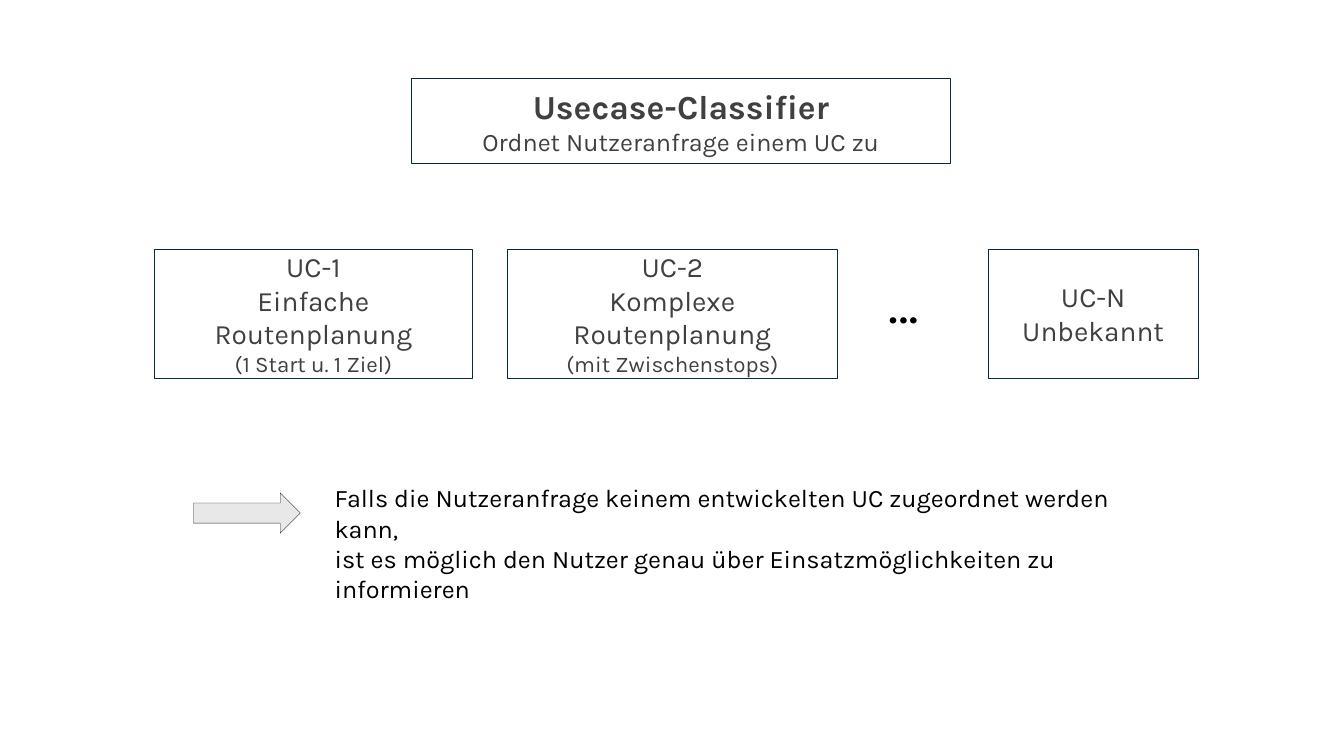
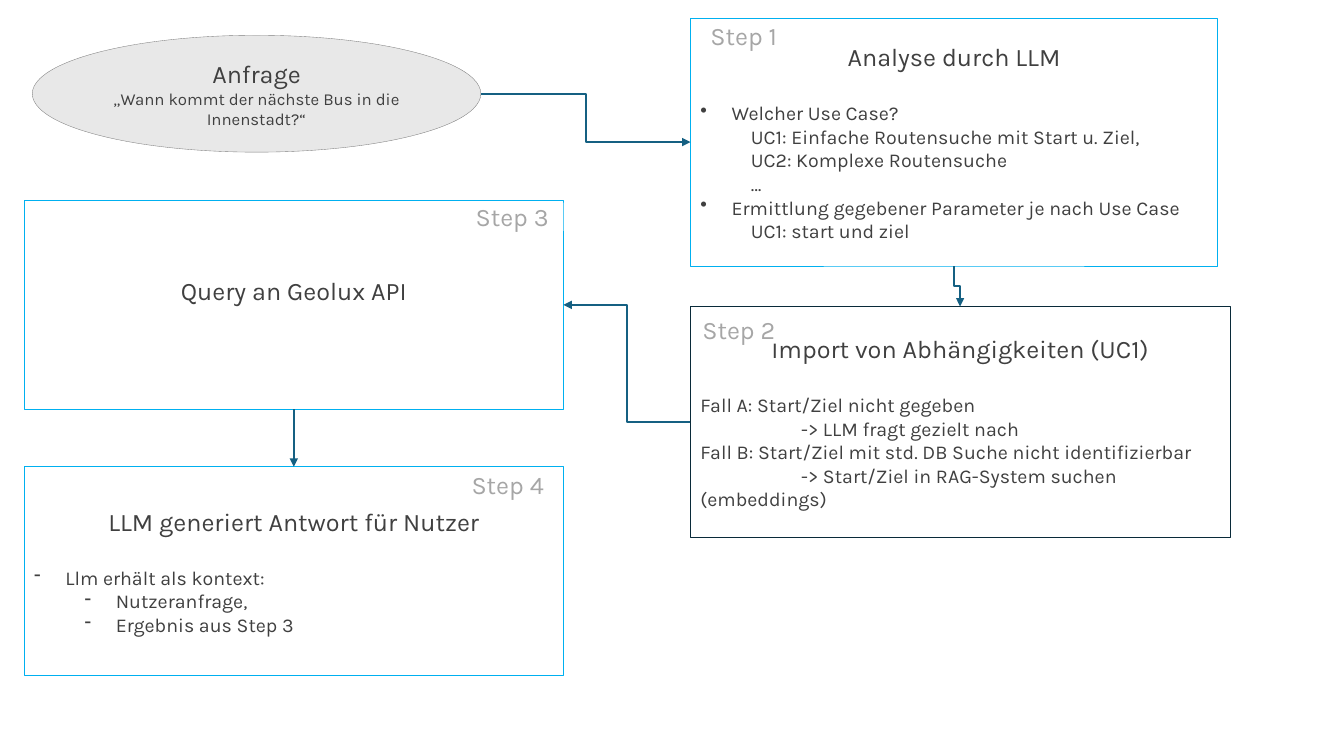
from dataclasses import dataclass, replace

from lxml.etree import SubElement
from pptx import Presentation
from pptx.dml.color import RGBColor
from pptx.enum.shapes import MSO_CONNECTOR as Link, MSO_SHAPE as Form
from pptx.enum.text import MSO_ANCHOR as Anchor, MSO_AUTO_SIZE as AutoSize, PP_ALIGN as Align
from pptx.oxml.ns import qn
from pptx.util import Inches, Pt


@dataclass(frozen=True)
class Theme:
    """Holds the colours, fonts and type sizes of the deck."""
    font: str = "Karla"
    ink: str = "404040"
    black: str = "000000"
    muted: str = "A6A6A6"
    paper: str = "FFFFFF"
    grey: str = "E8E8E8"
    navy: str = "092A39"
    cyan: str = "00B0F0"
    teal: str = "156082"
    arrow_edge: str = "262626"
    oval_edge: str = "808080"
    heading: int = 24
    dots: int = 40
    case: int = 20
    text: int = 18
    note: int = 16
    item: int = 14
    quote: int = 12
    hairline: float = 0.25
    flow_line: float = 1.5


THEME = Theme()
COLUMNS, ROWS = 133.33, 75


@dataclass(frozen=True)
class Box:
    """A region in columns and rows of the slide grid."""
    left: float
    top: float
    width: float
    height: float

    def inner(self, left, top, width, height):
        """Returns a region offset from this one."""
        return Box(self.left + left, self.top + top, width, height)

    def point(self, across, down):
        """Returns the point at the given shares of this region."""
        return self.left + self.width * across, self.top + self.height * down

    def lengths(self):
        """Returns the four lengths for a shape."""
        return [cell(value) for value in (self.left, self.top, self.width, self.height)]


@dataclass(frozen=True)
class Line:
    """A paragraph with its type and indents in grid columns."""
    text: str
    size: int = THEME.text
    colour: str = THEME.ink
    bold: bool = False
    align: Align = Align.LEFT
    level: int = 0
    margin: float = 0
    indent: float = 0
    bullet: str = ""
    after: int = 0


def cell(count):
    """Turns grid cells into a length."""
    return Inches(count / 10)


def centred(text, size=THEME.text, **style):
    """Returns a centred paragraph."""
    return Line(text, size, align=Align.CENTER, **style)


def heading(text):
    """Returns the heading of a step with the gap below it."""
    return centred(text, after=21)


def item(text, **style):
    """Returns a paragraph of step detail."""
    return Line(text, THEME.item, **style)


def bulleted(text, bullet, level=0):
    """Returns a hanging list item."""
    return item(text, bullet=bullet, level=level, margin=3.1 + 5 * level, indent=-3.1)


def nested(text):
    """Returns an indented paragraph without a bullet."""
    return item(text, level=1, margin=5)


def write(frame, lines, anchor=Anchor.MIDDLE):
    """Fills a text frame with paragraphs."""
    frame.word_wrap = True
    frame.auto_size = AutoSize.NONE
    frame.vertical_anchor = anchor
    for index, line in enumerate(lines):
        para = frame.add_paragraph() if index else frame.paragraphs[0]
        para.alignment = line.align
        para.level = line.level
        para.space_after = Pt(line.after)
        props = para._p.get_or_add_pPr()
        props.set("marL", str(cell(line.margin)))
        props.set("indent", str(cell(line.indent)))
        if line.bullet:
            SubElement(props, qn("a:buChar")).set("char", line.bullet)
        span = para.add_run()
        span.text = line.text
        span.font.name = THEME.font
        span.font.size = Pt(line.size)
        span.font.bold = line.bold
        span.font.color.rgb = RGBColor.from_string(line.colour)


def paint(shape, fill, edge):
    """Sets the fill and outline of a shape."""
    shape.fill.solid()
    shape.fill.fore_color.rgb = RGBColor.from_string(fill)
    if edge:
        shape.line.color.rgb = RGBColor.from_string(edge)
        shape.line.width = Pt(THEME.hairline)
    else:
        shape.line.fill.background()


def panel(page, box, lines=(), edge=THEME.navy, fill=THEME.paper, form=Form.RECTANGLE):
    """Draws a preset shape with text."""
    shape = page.shapes.add_shape(form, *box.lengths())
    shape.shadow.inherit = False
    paint(shape, fill, edge)
    write(shape.text_frame, lines)
    return shape


def title_panel(page, box, lines):
    """Places the title placeholder as an outlined panel."""
    title = page.shapes.title
    title.left, title.top, title.width, title.height = box.lengths()
    paint(title, THEME.paper, THEME.navy)
    write(title.text_frame, lines)


def free_text(page, box, lines):
    """Places a text box."""
    frame = page.shapes.add_textbox(*box.lengths()).text_frame
    write(frame, lines, Anchor.TOP)


def step(page, box, number, lines, label_at, edge=THEME.cyan):
    """Draws a step panel and its number label."""
    shape = panel(page, box, lines, edge)
    label = Line(f"Step {number}", colour=THEME.muted)
    panel(page, box.inner(*label_at, 9.7, 2.8), [label], edge=None)
    return shape


def flow(page, start, end, downward=False):
    """Draws an elbow arrow that leaves sideways or downward."""
    (x1, y1), (x2, y2) = start, end
    aligned = x1 == x2
    turned = downward and not aligned
    if turned:
        middle_x, middle_y = (x1 + x2) / 2, (y1 + y2) / 2
        reach, drift = (y2 - y1) / 2, (x1 - x2) / 2
        x1, x2 = middle_x - reach, middle_x + reach
        y1, y2 = middle_y - drift, middle_y + drift
    kind = Link.STRAIGHT if aligned else Link.ELBOW
    arrow = page.shapes.add_connector(kind, *map(cell, (x1, y1, x2, y2)))
    arrow.line.color.rgb = RGBColor.from_string(THEME.teal)
    arrow.line.width = Pt(THEME.flow_line)
    props = arrow._element.spPr
    if turned:
        props.find(qn("a:xfrm")).set("rot", str(90 * 60000))
    SubElement(props.find(qn("a:ln")), qn("a:tailEnd")).set("type", "triangle")
    SubElement(props, qn("a:effectLst"))


def use_case_row(page, row):
    """Draws the use cases side by side."""
    cases = [
        (0, 31.6, ["UC-1", "Einfache Routenplanung"], "(1 Start u. 1 Ziel)"),
        (35, 32.8, ["UC-2", "Komplexe Routenplanung"], "(mit Zwischenstops)"),
        (82.7, 20.9, ["UC-N", "Unbekannt"], ""),
    ]
    for offset, width, names, note in cases:
        lines = [centred(name, THEME.case) for name in names]
        if note:
            lines.append(centred(note, THEME.note))
        panel(page, row.inner(offset, 0, width, row.height), lines)
    dots = Line("…", THEME.dots, THEME.black)
    free_text(page, row.inner(71.9, 1.4, 6.6, 7.7), [dots])


def conclusion(page, box):
    """Draws the arrow and the closing remark."""
    remark = Line("", colour=THEME.black)
    free_text(page, box.inner(13, 0, 82.2, 7.1), [
        replace(remark, text="Falls die Nutzeranfrage keinem entwickelten UC zugeordnet werden kann,"),
        replace(remark, text="ist es möglich den Nutzer genau über Einsatzmöglichkeiten zu informieren"),
    ])
    panel(page, box.inner(0, 1.5, 10.6, 4), edge=THEME.arrow_edge,
          fill=THEME.grey, form=Form.RIGHT_ARROW)


def classifier_slide(deck):
    """Builds the slide on the use case classifier."""
    page = deck.slides.add_slide(deck.slide_layouts[5])
    title_panel(page, Box(40.8, 7.8, 53.5, 8.4), [
        centred("Usecase-Classifier", THEME.heading, bold=True),
        centred("Ordnet Nutzeranfrage einem UC zu"),
    ])
    use_case_row(page, Box(15.3, 24.7, 103.6, 12.8))
    conclusion(page, Box(19.2, 47.4, 95.2, 7.1))


def process_slide(deck):
    """Builds the slide on the steps from request to answer."""
    page = deck.slides.add_slide(deck.slide_layouts[6])
    request = Box(3.2, 3.5, 44.5, 11.6)
    analysis = Box(68.5, 1.8, 52.3, 24.6)
    imports = Box(68.5, 30.4, 53.5, 22.9)
    query = Box(2.4, 19.9, 53.5, 20.7)
    answer = query.inner(0, 26.4, query.width, query.height)

    panel(page, request, [
        centred("Anfrage"),
        centred("„Wann kommt der nächste Bus in die Innenstadt?“", THEME.quote),
    ], THEME.oval_edge, THEME.grey, Form.OVAL)
    step(page, analysis, 1, [
        heading("Analyse durch LLM"),
        bulleted("Welcher Use Case?", "•"),
        nested("UC1: Einfache Routensuche mit Start u. Ziel,"),
        nested("UC2: Komplexe Routensuche"),
        nested("…"),
        bulleted("Ermittlung gegebener Parameter je nach Use Case", "•"),
        nested("UC1: start und ziel"),
    ], (1, 0.3))
    step(page, imports, 2, [
        heading("Import von Abhängigkeiten (UC1)"),
        item("Fall A: Start/Ziel nicht gegeben"),
        item("-> LLM fragt gezielt nach", indent=10),
        item("Fall B: Start/Ziel mit std. DB Suche nicht identifizierbar"),
        item("-> Start/Ziel in RAG-System suchen (embeddings)", indent=10),
    ], (0.2, 0.9), THEME.navy)
    raised = step(page, query, 3, [centred("Query an Geolux API")], (43.8, 0.2))
    raised.text_frame.margin_bottom = cell(3.4)
    step(page, answer, 4, [
        heading("LLM generiert Antwort für Nutzer"),
        bulleted("Llm erhält als kontext:", "-"),
        bulleted("Nutzeranfrage,", "-", 1),
        bulleted("Ergebnis aus Step 3", "-", 1),
    ], (43.4, 0.4))

    flow(page, request.point(1, 0.5), analysis.point(0, 0.5))
    flow(page, analysis.point(0.5, 1), imports.point(0.5, 0), downward=True)
    flow(page, imports.point(0, 0.5), query.point(1, 0.5))
    flow(page, query.point(0.5, 1), answer.point(0.5, 0), downward=True)


def main():
    """Builds and saves the deck."""
    deck = Presentation()
    deck.slide_width, deck.slide_height = cell(COLUMNS), cell(ROWS)
    classifier_slide(deck)
    process_slide(deck)
    deck.save("out.pptx")


if __name__ == "__main__":
    main()
